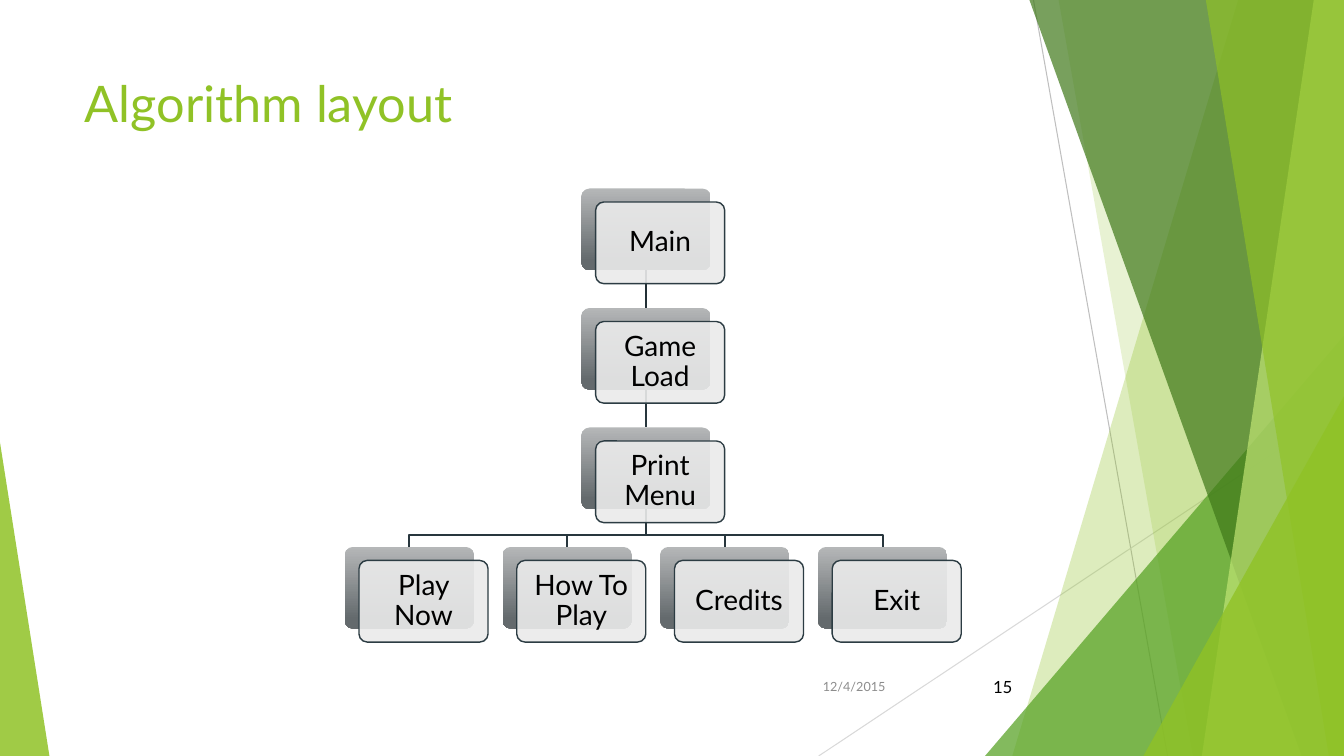
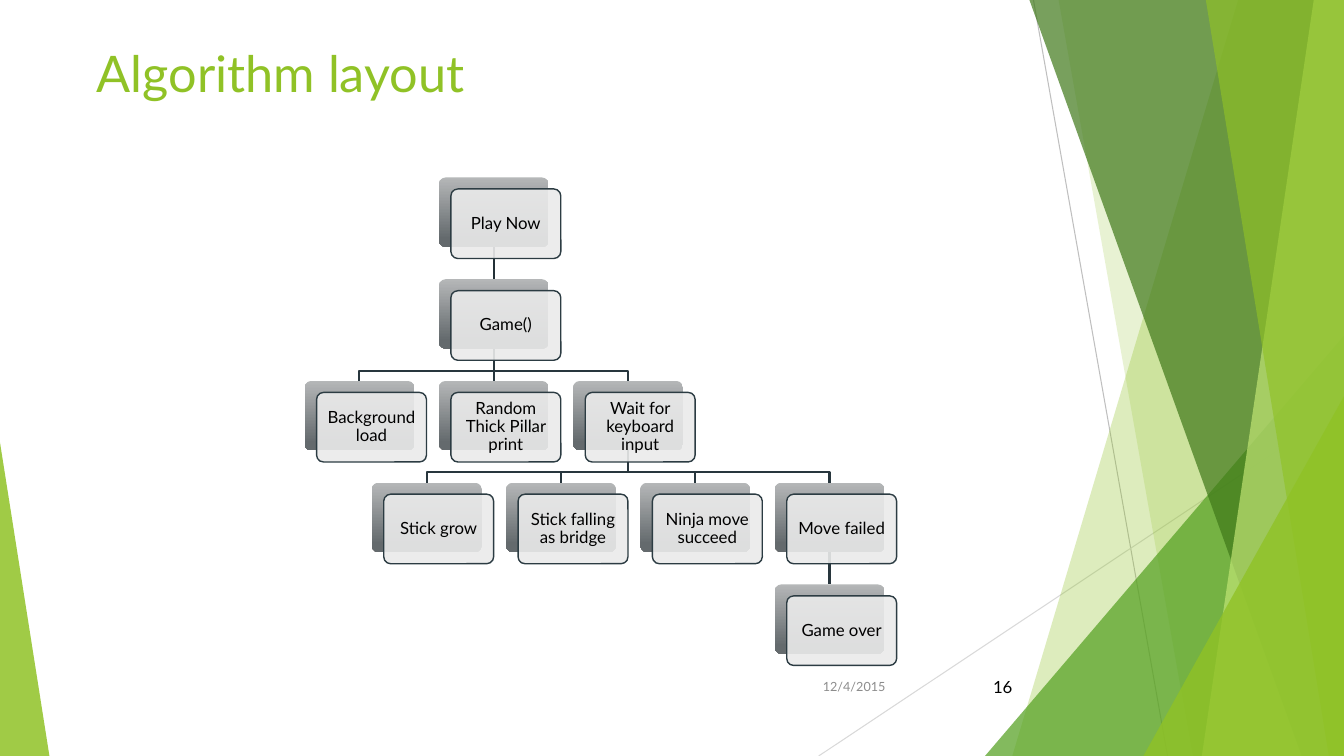
from dataclasses import dataclass

from lxml import etree
from pptx import Presentation
from pptx.dml.color import RGBColor
from pptx.enum.shapes import MSO_CONNECTOR, MSO_SHAPE
from pptx.enum.text import MSO_ANCHOR, PP_ALIGN
from pptx.oxml.ns import qn
from pptx.util import Inches, Pt

STRAIGHT = MSO_CONNECTOR.STRAIGHT
ROUND_RECT, TRIANGLE = MSO_SHAPE.ROUNDED_RECTANGLE, MSO_SHAPE.ISOSCELES_TRIANGLE
TOP, MIDDLE = MSO_ANCHOR.TOP, MSO_ANCHOR.MIDDLE
LEFT, CENTER, RIGHT = PP_ALIGN.LEFT, PP_ALIGN.CENTER, PP_ALIGN.RIGHT

LIME = RGBColor(0x90, 0xC2, 0x26)
GREEN = RGBColor(0x54, 0xA0, 0x21)
FOREST = RGBColor(0x3F, 0x78, 0x19)
PALE_LIME = RGBColor(0xC0, 0xE4, 0x74)
HAIRLINE = RGBColor(0xBF, 0xBF, 0xBF)
LIGHT_HAIRLINE = RGBColor(0xD9, 0xD9, 0xD9)
BACK_TOP = RGBColor(0xB5, 0xB7, 0xB8)
BACK_BOTTOM = RGBColor(0x64, 0x6A, 0x6D)
CARD = RGBColor(0xEB, 0xEB, 0xEB)
CARD_EDGE = RGBColor(0x2C, 0x3C, 0x43)
ROOT_LINK = RGBColor(0x23, 0x30, 0x36)
LINK = RGBColor(0x28, 0x36, 0x3D)
BLACK = RGBColor(0, 0, 0)
GRAY = RGBColor(0x8C, 0x8C, 0x8C)

FONT = "Lato"
SLIDE_W, SLIDE_H = 13.33, 7.5
DATE = "12/4/2015"
TITLE_ONLY = 5

# Chart proportions, as shares of the box width
COL_PITCH, ROW_PITCH = 11 / 9, 25 / 27
CARD_DX, CARD_DY = 0.11, 0.105
BEND = 0.68  # share of the row gap above the elbow


@dataclass(frozen=True)
class Strip:
    """Band from a slanted left edge to the right edge of the slide."""
    top_x: float
    bottom_x: float
    color: RGBColor
    opacity: int


@dataclass(frozen=True)
class Corner:
    """Right triangle standing on the bottom edge of the slide."""
    x: float
    y: float
    w: float
    apex: float
    color: RGBColor
    opacity: int


@dataclass(frozen=True)
class Node:
    text: str
    col: float
    children: tuple["Node", ...] = ()


@dataclass(frozen=True)
class Chart:
    left: float
    top: float
    box_w: float
    box_h: float
    margin: float
    size: int
    root: Node

    def back_box(self, col: float, row: int) -> tuple[float, float]:
        return (self.left + col * self.box_w * COL_PITCH,
                self.top + row * self.box_w * ROW_PITCH)


@dataclass(frozen=True)
class Page:
    number: int
    title_box: tuple[float, float, float, float]
    chart: Chart


FACETS = (
    Strip(12.28, 10.04, LIME, 30),
    Strip(10.5, 11.83, LIME, 20),
    Corner(9.77, 3.33, 3.56, 1, GREEN, 72),
    Strip(10.21, 12.91, FOREST, 70),
    Strip(13.03, 11.92, PALE_LIME, 70),
    Strip(11.96, 13.18, LIME, 65),
    Corner(11.34, 3.93, 1.99, 1, LIME, 80),
    Corner(0, 4.39, 0.49, 0, LIME, 85),
)

MENU = Node("Main", 1.5, (
    Node("Game Load", 1.5, (
        Node("Print Menu", 1.5, (
            Node("Play Now", 0),
            Node("How To Play", 1),
            Node("Credits", 2),
            Node("Exit", 3),
        )),
    )),
))
GAME = Node("Play Now", 1, (
    Node("Game()", 1, (
        Node("Background load", 0),
        Node("Random Thick Pillar print", 1),
        Node("Wait for keyboard input", 2, (
            Node("Stick grow", 0.5),
            Node("Stick falling as bridge", 1.5),
            Node("Ninja move succeed", 2.5),
            Node("Move failed", 3.5, (Node("Game over", 3.5),)),
        )),
    )),
))
PAGES = (
    Page(15, (0.74, 0.67, 9.4, 1.44), Chart(3.42, 1.87, 1.28, 0.81, 0.08, 20, MENU)),
    Page(16, (0.86, 0.37, 11.32, 1.45), Chart(3.02, 1.76, 1.09, 0.69, 0.05, 12, GAME)),
)


def fill_solid(sp, color: RGBColor, opacity: int) -> None:
    sp.shadow.inherit = False
    sp.fill.solid()
    sp.fill.fore_color.rgb = color
    clr = sp.element.spPr.find(f"{qn('a:solidFill')}/{qn('a:srgbClr')}")
    etree.SubElement(clr, qn("a:alpha"), val=str(opacity * 1000))


def set_text(sp, text: str, size: int, color: RGBColor, align, anchor) -> None:
    tf = sp.text_frame
    tf.word_wrap = True
    tf.vertical_anchor = anchor
    p = tf.paragraphs[0]
    p.alignment = align
    r = p.add_run()
    r.text = text
    r.font.name, r.font.size = FONT, Pt(size)
    r.font.color.rgb = color


def add_line(shapes, start: tuple[float, float], end: tuple[float, float],
             color: RGBColor, width: float) -> None:
    cxn = shapes.add_connector(STRAIGHT, *map(Inches, start + end))
    cxn.line.color.rgb = color
    cxn.line.width = Pt(width)
    etree.SubElement(cxn.element.spPr, qn("a:effectLst"))


def add_outline(shapes, points: list[tuple[float, float]], close: bool):
    start, *rest = [(Inches(x), Inches(y)) for x, y in points]
    builder = shapes.build_freeform(*start)
    builder.add_line_segments(rest, close=close)
    return builder.convert_to_shape()


def add_facet(shapes, facet: Strip | Corner) -> None:
    if isinstance(facet, Strip):
        sp = add_outline(shapes, [(facet.top_x, 0), (SLIDE_W, 0), (SLIDE_W, SLIDE_H),
                                  (facet.bottom_x, SLIDE_H)], close=True)
    else:
        sp = shapes.add_shape(TRIANGLE, Inches(facet.x), Inches(facet.y),
                              Inches(facet.w), Inches(SLIDE_H - facet.y))
        sp.adjustments[0] = facet.apex
    fill_solid(sp, facet.color, facet.opacity)
    sp.line.fill.background()


def decorate_layout(layout, s) -> None:
    """Draw the green facets on a slide, then move them behind its layout."""
    for ph in list(layout.placeholders):
        if ph.placeholder_format.idx:
            ph.element.getparent().remove(ph.element)
    add_line(s.shapes, (10.25, 0), (11.58, SLIDE_H), HAIRLINE, 0.75)
    add_line(s.shapes, (SLIDE_W, 4.03), (8.12, SLIDE_H), LIGHT_HAIRLINE, 0.75)
    for facet in FACETS:
        add_facet(s.shapes, facet)
    for sp in list(s.shapes):
        if not sp.is_placeholder:
            layout.shapes.element.append(sp.element)


def add_links(shapes, chart: Chart, node: Node, row: int = 0) -> None:
    x, y = chart.back_box(node.col, row)
    start = (x + chart.box_w / 2, y + chart.box_h)
    color = LINK if row else ROOT_LINK
    for child in node.children:
        child_x, child_y = chart.back_box(child.col, row + 1)
        end = (child_x + chart.box_w / 2, child_y)
        if child.col == node.col:
            add_line(shapes, start, end, color, 1.5)
        else:
            bend_y = start[1] + BEND * (end[1] - start[1])
            sp = add_outline(shapes, [start, (start[0], bend_y), (end[0], bend_y), end],
                             close=False)
            sp.shadow.inherit = False
            sp.fill.background()
            sp.line.color.rgb = color
            sp.line.width = Pt(1.5)
        add_links(shapes, chart, child, row + 1)


def add_round_box(shapes, chart: Chart, x: float, y: float):
    sp = shapes.add_shape(ROUND_RECT, Inches(x), Inches(y),
                          Inches(chart.box_w), Inches(chart.box_h))
    sp.adjustments[0] = 0.1
    sp.shadow.inherit = False
    return sp


def add_boxes(shapes, chart: Chart, node: Node, row: int = 0) -> None:
    x, y = chart.back_box(node.col, row)
    back = add_round_box(shapes, chart, x, y)
    back.fill.gradient()
    back.fill.gradient_angle = 270
    for stop, color, position in zip(back.fill.gradient_stops,
                                     (BACK_TOP, BACK_BOTTOM), (0, 0.88)):
        stop.color.rgb = color
        stop.position = position
    back.line.fill.background()

    card = add_round_box(shapes, chart, x + CARD_DX * chart.box_w, y + CARD_DY * chart.box_w)
    fill_solid(card, CARD, 90)
    card.line.color.rgb = CARD_EDGE
    card.line.width = Pt(1)
    set_text(card, node.text, chart.size, BLACK, CENTER, MIDDLE)
    tf = card.text_frame
    tf.margin_left = tf.margin_right = Inches(chart.margin)
    tf.margin_top = tf.margin_bottom = Inches(chart.margin)
    tf.paragraphs[0].line_spacing = 0.9
    for child in node.children:
        add_boxes(shapes, chart, child, row + 1)


def add_footer(shapes, x: float, w: float, text: str, size: int, color: RGBColor) -> None:
    sp = shapes.add_textbox(Inches(x), Inches(6.61), Inches(w), Inches(0.4))
    set_text(sp, text, size, color, RIGHT, MIDDLE)


def fill_page(s, page: Page) -> None:
    title = s.shapes.title
    title.left, title.top, title.width, title.height = map(Inches, page.title_box)
    set_text(title, "Algorithm layout", 36, LIME, LEFT, TOP)
    add_links(s.shapes, page.chart, page.chart.root)
    add_boxes(s.shapes, page.chart, page.chart.root)
    add_footer(s.shapes, 7.88, 1, DATE, 9, GRAY)
    add_footer(s.shapes, 9.39, 0.75, str(page.number), 12, BLACK)


def main() -> None:
    prs = Presentation()
    prs.slide_width, prs.slide_height = Inches(SLIDE_W), Inches(SLIDE_H)
    layout = prs.slide_layouts[TITLE_ONLY]
    slides = [prs.slides.add_slide(layout) for _ in PAGES]
    decorate_layout(layout, slides[0])
    for s, page in zip(slides, PAGES):
        fill_page(s, page)
    prs.save("out.pptx")


if __name__ == "__main__":
    main()
